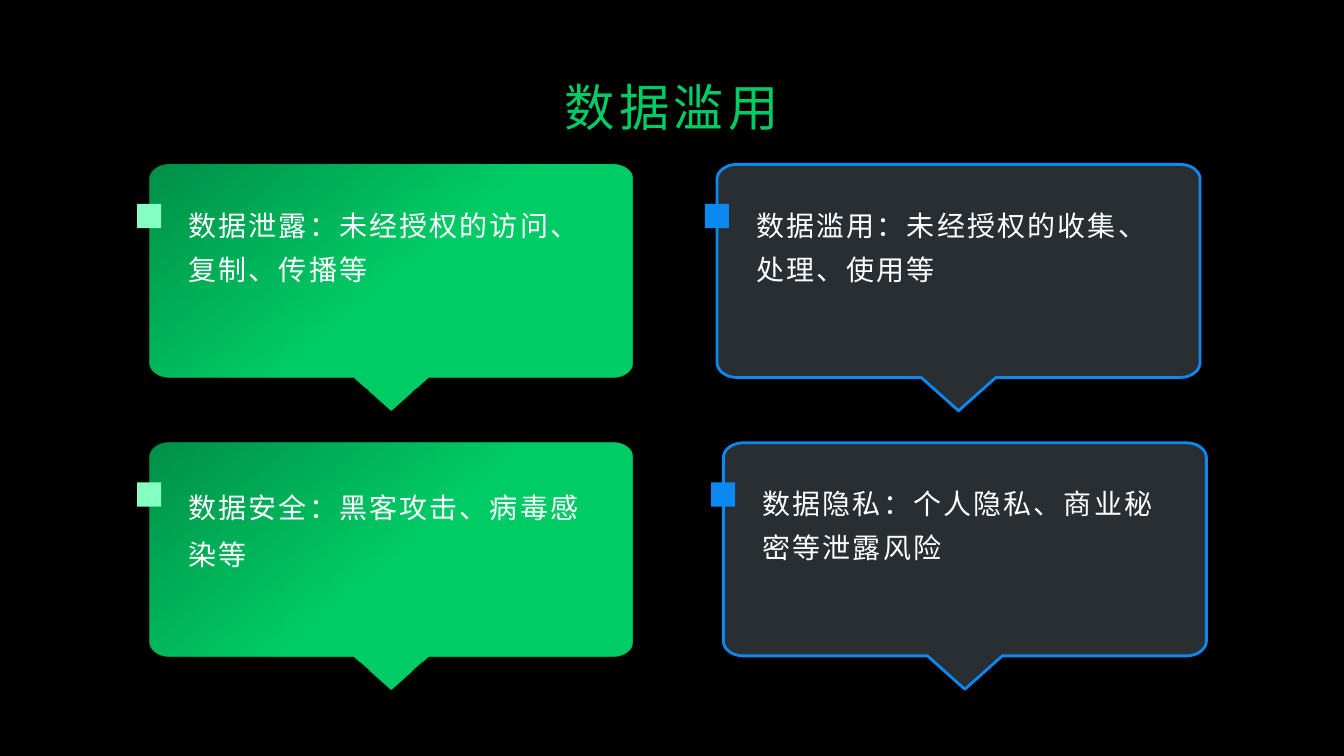
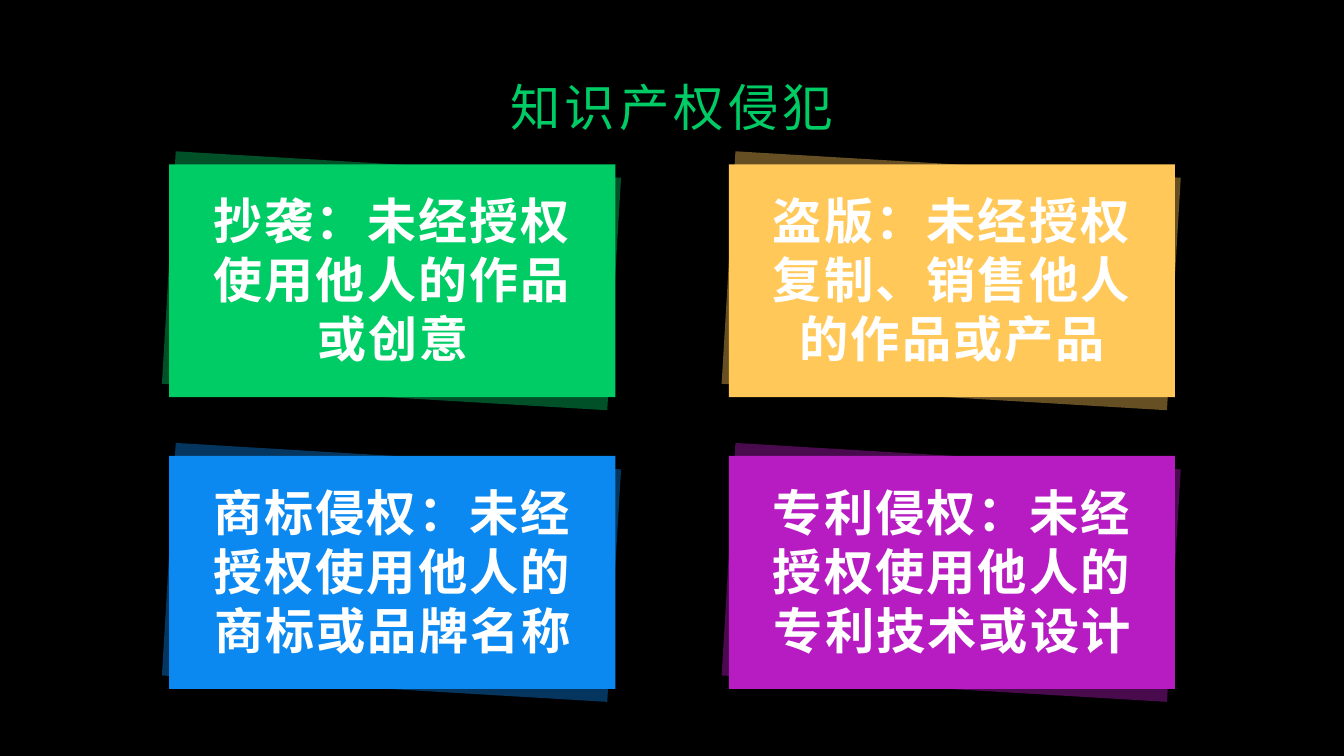
from lxml.etree import SubElement
from pptx import Presentation
from pptx.dml.color import RGBColor
from pptx.enum.shapes import MSO_SHAPE
from pptx.enum.text import MSO_ANCHOR, PP_ALIGN
from pptx.oxml.ns import qn
from pptx.util import Pt

COLORS = {
    "black": "000000",
    "white": "FFFFFF",
    "green": "00CC66",
    "mint": "85FFC2",
    "blue": "0C89F0",
    "pale_blue": "CEE7FD",
    "yellow": "FFC858",
    "purple": "B71CC3",
}


def color(name):
    return RGBColor.from_string(COLORS[name])


def set_opacity(shape, percent):
    """Make the first fill colour of the shape translucent."""
    fill_color = shape.element.spPr.find(".//" + qn("a:srgbClr"))
    SubElement(fill_color, qn("a:alpha")).set("val", str(percent * 1000))


def write_text(frame, text, *, font="Arial", size=20, bold=False, fill="white",
               spacing=1.5, line_spacing=1.0, align=PP_ALIGN.LEFT,
               anchor=MSO_ANCHOR.TOP):
    frame.word_wrap = True
    frame.vertical_anchor = anchor
    paragraph = frame.paragraphs[0]
    paragraph.alignment = align
    paragraph.line_spacing = line_spacing
    run = paragraph.add_run()
    run.text = text
    run.font.name = font
    run.font.size = Pt(size)
    run.font.bold = bold
    run.font.color.rgb = color(fill)
    run._r.get_or_add_rPr().set("spc", str(int(spacing * 100)))


def callout_outline(left, top, width, height):
    """Box with cut corners and a pointer below the middle of its lower edge."""
    radius_x, radius_y = 14.2, 10.6
    pointer_half, pointer_height = 26.7, 23.8
    right, bottom, middle = left + width, top + height, left + width / 2
    points = [
        (left + radius_x, top), (right - radius_x, top),
        (right, top + radius_y), (right, bottom - radius_y),
        (right - radius_x, bottom), (middle + pointer_half, bottom),
        (middle, bottom + pointer_height), (middle - pointer_half, bottom),
        (left + radius_x, bottom), (left, bottom - radius_y),
        (left, top + radius_y), (left + radius_x, top),
    ]
    return [(Pt(x), Pt(y)) for x, y in points]


def round_corners(shape):
    """Turn each slanted corner of a callout into a quarter ellipse."""
    segments = list(shape.element.iter(qn("a:lnTo")))
    leaves_sideways = {1: True, 3: False, 8: True, 10: False}
    for index, sideways in leaves_sideways.items():
        start, end = [
            (int(segment[0].get("x")), int(segment[0].get("y")))
            for segment in segments[index - 1:index + 1]]
        corner = (end[0], start[1]) if sideways else (start[0], end[1])
        curve = segments[index].makeelement(qn("a:cubicBezTo"))
        for base in (start, end):
            x, y = [round(a + 0.55 * (b - a)) for a, b in zip(base, corner)]
            SubElement(curve, qn("a:pt"), x=str(x), y=str(y))
        SubElement(curve, qn("a:pt"), x=str(end[0]), y=str(end[1]))
        segments[index].getparent().replace(segments[index], curve)


class Deck:
    def __init__(self):
        self.presentation = Presentation()
        self.presentation.slide_width = Pt(960)
        self.presentation.slide_height = Pt(540)
        self.slide = None

    def add_slide(self, title):
        layout = self.presentation.slide_layouts[6]
        self.slide = self.presentation.slides.add_slide(layout)
        background = self.slide.background.fill
        background.solid()
        background.fore_color.rgb = color("black")
        self.text(title, 48, 48, 864, 55.4, font="Karla", size=36, fill="green",
                  spacing=3, align=PP_ALIGN.CENTER, anchor=MSO_ANCHOR.MIDDLE)

    def text(self, text, left, top, width, height, **style):
        box = self.slide.shapes.add_textbox(Pt(left), Pt(top), Pt(width), Pt(height))
        write_text(box.text_frame, text, **style)

    def rectangle(self, left, top, width, height, fill, rotation=0, opacity=100):
        shape = self.slide.shapes.add_shape(
            MSO_SHAPE.RECTANGLE, Pt(left), Pt(top), Pt(width), Pt(height))
        shape.shadow.inherit = False
        shape.fill.solid()
        shape.fill.fore_color.rgb = color(fill)
        shape.line.fill.background()
        shape.rotation = rotation
        if opacity < 100:
            set_opacity(shape, opacity)

    def callout(self, text, left, top, outlined, line_spacing):
        points = callout_outline(left, top, 345, 152.2)
        builder = self.slide.shapes.build_freeform(*points[0])
        builder.add_line_segments(points[1:], close=True)
        shape = builder.convert_to_shape()
        round_corners(shape)
        shape.shadow.inherit = False
        if outlined:
            shape.fill.solid()
            shape.fill.fore_color.rgb = color("pale_blue")
            set_opacity(shape, 20)
            shape.line.color.rgb = color("blue")
            shape.line.width = Pt(2)
        else:
            shape.fill.gradient()
            shape.fill.gradient_angle = 310
            for stop, position in zip(shape.fill.gradient_stops, (0, 0.5)):
                stop.color.rgb = color("green")
                stop.position = position
            set_opacity(shape, 70)
            shape.line.fill.background()
        self.rectangle(left - 8.8, top + 28.3, 17.2, 17.2,
                       "blue" if outlined else "mint")
        self.text(text, left + 20.9, top + 20.8, 303, 99.4,
                  line_spacing=line_spacing)

    def card(self, text, left, top, fill, size):
        width, height = 318.7, 166.4
        self.rectangle(left - 0.5, top, width, height, fill, rotation=3.4, opacity=40)
        self.rectangle(left, top, width, height, fill)
        self.text(text, left + 18.2, top + 13, 283, 137.5, font="Karla", size=size,
                  bold=True, align=PP_ALIGN.CENTER, anchor=MSO_ANCHOR.MIDDLE)


def main():
    deck = Deck()

    # Data abuse: four callouts
    deck.add_slide("数据滥用")
    for text, left, top, outlined, line_spacing in [
        ("数据泄露：未经授权的访问、复制、传播等", 106.7, 117.4, False, 1.3),
        ("数据滥用：未经授权的收集、处理、使用等", 512.2, 117.4, True, 1.3),
        ("数据安全：黑客攻击、病毒感染等", 106.7, 316.3, False, 1.4),
        ("数据隐私：个人隐私、商业秘密等泄露风险", 516.7, 316.3, True, 1.3),
    ]:
        deck.callout(text, left, top, outlined, line_spacing)

    # Intellectual property: two by two cards
    deck.add_slide("知识产权侵犯")
    cards = [
        ("抄袭：未经授权使用他人的作品或创意", "green", 35),
        ("盗版：未经授权复制、销售他人的作品或产品", "yellow", 35.2),
        ("商标侵权：未经授权使用他人的商标或品牌名称", "blue", 35.2),
        ("专利侵权：未经授权使用他人的专利技术或设计", "purple", 35.2),
    ]
    for index, (text, fill, size) in enumerate(cards):
        row, column = divmod(index, 2)
        deck.card(text, 120.8 + 399.8 * column, 117.4 + 208.3 * row, fill, size)

    deck.presentation.save("out.pptx")


if __name__ == "__main__":
    main()
